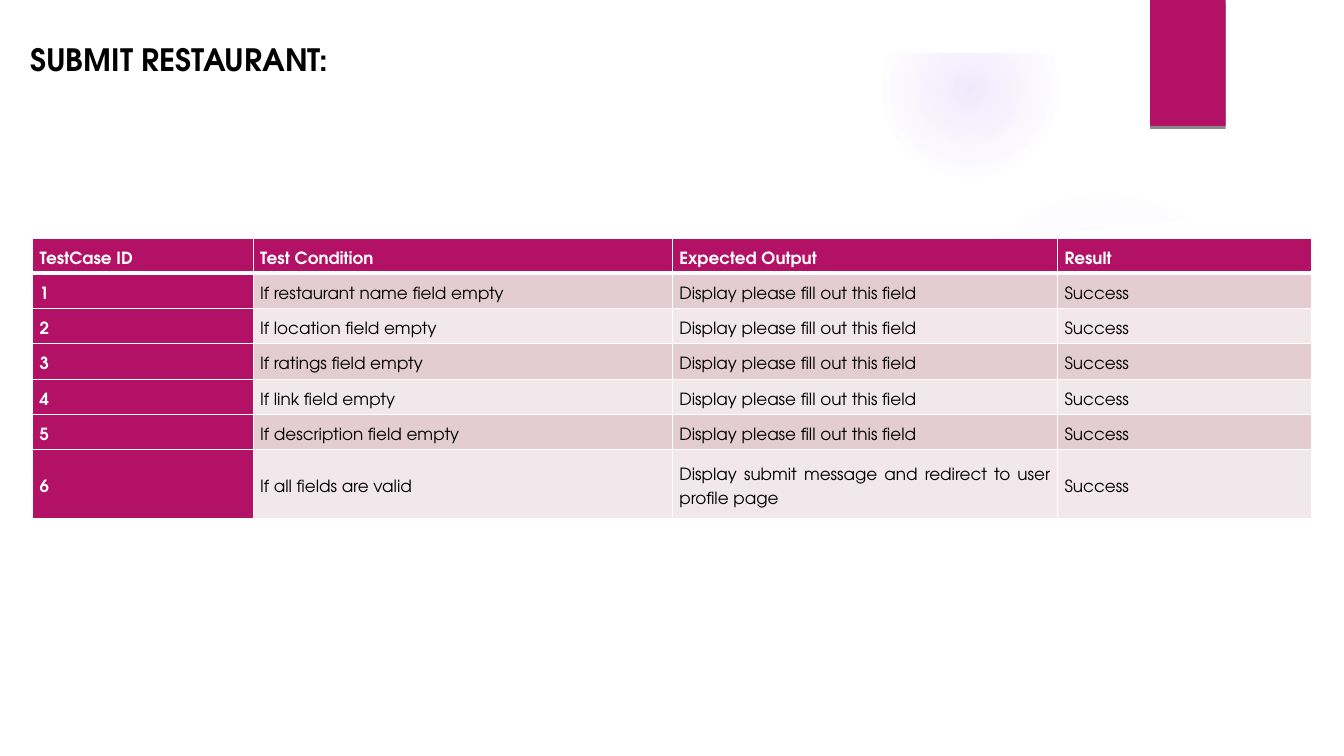
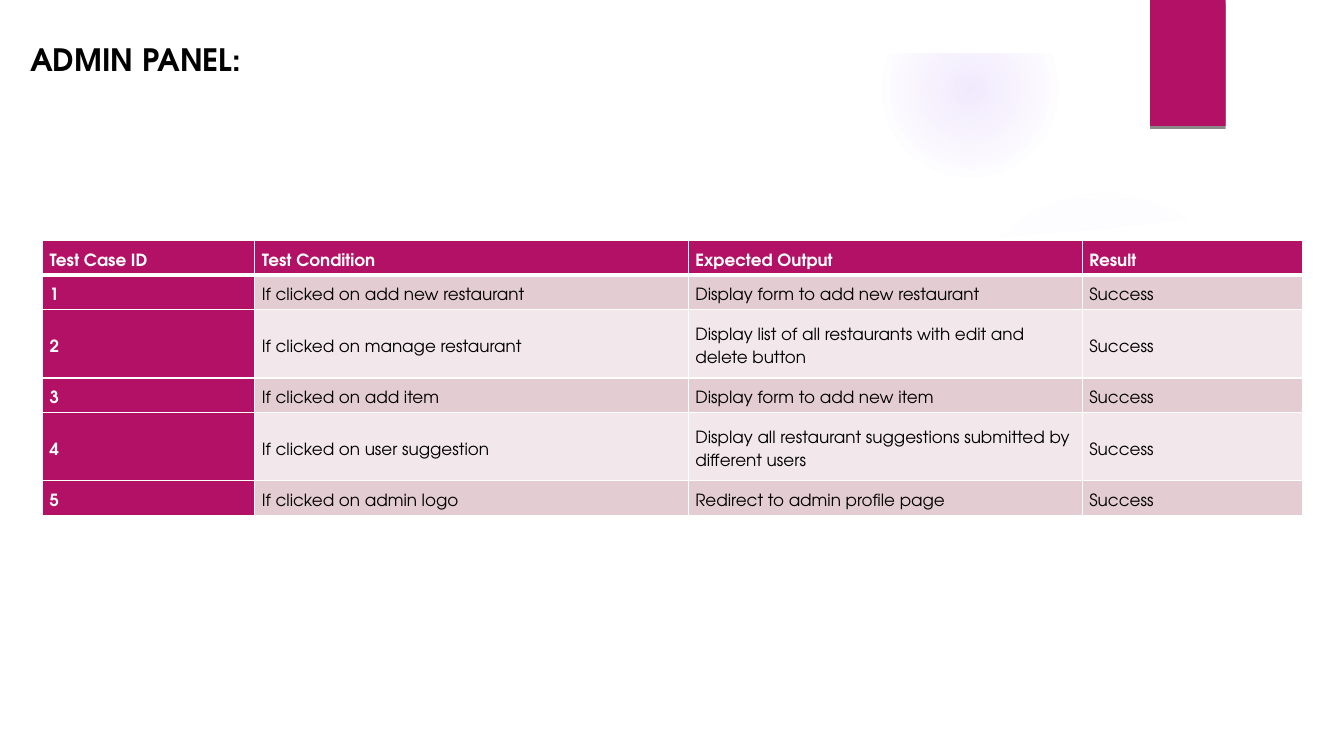
import pptx
import pptx.dml.color
import pptx.enum.shapes
import pptx.enum.text
import pptx.oxml
import pptx.oxml.ns
import pptx.util
from lxml import etree

Pt = pptx.util.Pt
SHAPE = pptx.enum.shapes.MSO_SHAPE
ALIGN = pptx.enum.text.PP_ALIGN
MIDDLE = pptx.enum.text.MSO_ANCHOR.MIDDLE
NAMESPACE = pptx.oxml.ns.nsdecls("a")

PANEL_OUTLINE = [
    (36, 147), (36, 504), (924, 504), (924, 147), (864, 156), (794, 163),
    (723, 169), (663, 172.5), (605, 176), (547, 178), (490, 178.5),
    (437, 178), (385, 176), (320, 173.5), (259, 170), (204, 165.6),
    (156, 161), (97, 155),
]
STREAK_OUTLINE = [
    (672, 180), (722, 178), (794, 172), (868, 163), (928, 154),
    (924, 119.5), (898, 128), (865, 137.5), (832, 146), (798, 154),
    (758, 162), (719, 168.5), (670, 175),
]


def color(hex_value):
    return pptx.dml.color.RGBColor.from_string(hex_value)


def element(xml):
    return pptx.oxml.parse_xml(xml)


class Deck:
    FONT = "TeX Gyre Adventor"
    ACCENT = "B31166"
    GLOW = "9B6BF2"
    WHITE = "FFFFFF"
    BLACK = "000000"
    STRIPES = ("E4CCD3", "F2E7EA")

    def __init__(self):
        self.presentation = pptx.Presentation()
        self.presentation.slide_width = Pt(960)
        self.presentation.slide_height = Pt(540)
        self.layout = self.presentation.slide_layouts[5]
        self.slide = None

    def add_slide(self, heading):
        first = self.slide is None
        self.slide = self.presentation.slides.add_slide(self.layout)
        if first:
            self.backdrop()
        title = self.slide.shapes.title
        title.left, title.top, title.width, title.height = Pt(14.4), Pt(14.4), Pt(690), Pt(55.4)
        title.text_frame.text = heading
        title.text_frame.vertical_anchor = MIDDLE
        self.format_text(title.text_frame, 22, self.BLACK, True, ALIGN.LEFT)

    def format_text(self, frame, size, text_color, bold, align):
        for paragraph in frame.paragraphs:
            paragraph.alignment = align
            for run in paragraph.runs:
                run.font.name = self.FONT
                run.font.size = Pt(size)
                run.font.bold = bold
                run.font.color.rgb = color(text_color)

    def backdrop(self):
        for placeholder in list(self.layout.placeholders):
            if placeholder.placeholder_format.type != pptx.enum.shapes.PP_PLACEHOLDER.TITLE:
                placeholder.element.getparent().remove(placeholder.element)
        frame = self.preset(SHAPE.FRAME, 0, 0, 960, 540, self.WHITE)
        frame.adjustments[0] = 0.07
        band = self.preset(SHAPE.RECTANGLE, 821.5, 0, 54, 90, self.ACCENT)
        self.drop_shadow(band)
        parts = [
            self.glow(677.5, 131.8, 221.8, 7, 69),
            self.glow(630, 0.7, 126, 14, 73),
            self.outline(STREAK_OUTLINE, 20),
            self.outline(PANEL_OUTLINE),
            frame,
            band,
        ]
        for part in parts:
            self.layout.shapes.element.append(part.element)

    def paint(self, shape, fill):
        shape.fill.solid()
        shape.fill.fore_color.rgb = color(fill)
        shape.line.fill.background()
        shape.shadow.inherit = False
        return shape

    def preset(self, kind, left, top, width, height, fill):
        shape = self.slide.shapes.add_shape(kind, Pt(left), Pt(top), Pt(width), Pt(height))
        return self.paint(shape, fill)

    def drop_shadow(self, shape):
        effects = shape.element.spPr.find(pptx.oxml.ns.qn("a:effectLst"))
        effects.append(element(
            f'<a:outerShdw {NAMESPACE} blurRad="0" dist="{Pt(2)}" dir="5400000" rotWithShape="0">'
            f'<a:srgbClr val="{self.BLACK}"><a:alpha val="45000"/></a:srgbClr></a:outerShdw>'))

    def glow(self, left, top, diameter, opacity, reach):
        shape = self.preset(SHAPE.OVAL, left, top, diameter, diameter, self.GLOW)
        stops = "".join(
            f'<a:gs pos="{position * 1000}"><a:srgbClr val="{self.GLOW}">'
            f'<a:alpha val="{alpha * 1000}"/></a:srgbClr></a:gs>'
            for position, alpha in ((0, opacity), (reach, 0), (100, 0)))
        gradient = element(
            f'<a:gradFill {NAMESPACE} rotWithShape="1"><a:gsLst>{stops}</a:gsLst>'
            '<a:path path="circle"><a:fillToRect l="50000" t="50000" r="50000" b="50000"/>'
            '</a:path></a:gradFill>')
        properties = shape.element.spPr
        properties.replace(properties.find(pptx.oxml.ns.qn("a:solidFill")), gradient)
        return shape

    def outline(self, points, opacity=100):
        builder = self.slide.shapes.build_freeform(*points[0], scale=Pt(1))
        builder.add_line_segments(points[1:], close=True)
        shape = self.paint(builder.convert_to_shape(), self.WHITE)
        if opacity < 100:
            fill = shape.element.spPr.find(pptx.oxml.ns.qn("a:solidFill"))
            alpha = etree.SubElement(fill[0], pptx.oxml.ns.qn("a:alpha"))
            alpha.set("val", str(opacity * 1000))
        return shape

    def borders(self, cell, top, bottom):
        properties = cell._tc.get_or_add_tcPr()
        sides = (("L", 0.96), ("R", 0.96), ("T", top), ("B", bottom))
        for index, (side, width) in enumerate(sides):
            properties.insert(index, element(
                f'<a:ln{side} {NAMESPACE} w="{Pt(width)}"><a:solidFill>'
                f'<a:srgbClr val="{self.WHITE}"/></a:solidFill></a:ln{side}>'))

    def table(self, left, top, widths, heights, records, align):
        table = self.slide.shapes.add_table(
            len(heights), len(widths), Pt(left), Pt(top), Pt(sum(widths)), Pt(sum(heights))).table
        for column, width in zip(table.columns, widths):
            column.width = Pt(width)
        for row, height in zip(table.rows, heights):
            row.height = Pt(height)
        for row_index, record in enumerate(records):
            for column_index, text in enumerate(record):
                strong = row_index == 0 or column_index == 0
                cell = table.cell(row_index, column_index)
                cell.text_frame.text = text
                cell.vertical_anchor = MIDDLE
                cell.margin_left = cell.margin_right = Pt(5)
                cell.margin_top = cell.margin_bottom = Pt(3.6)
                cell.fill.solid()
                fill = self.ACCENT if strong else self.STRIPES[(row_index - 1) % 2]
                cell.fill.fore_color.rgb = color(fill)
                cell.text_frame.paragraphs[0].line_spacing = 1.5
                text_color = self.WHITE if strong else self.BLACK
                self.format_text(cell.text_frame, 12, text_color, strong, align)
                self.borders(cell, 3 if row_index == 1 else 0.96, 3 if row_index == 0 else 0.96)


def test_records(id_heading, cases):
    header = (id_heading, "Test Condition", "Expected Output", "Result")
    return [header] + [
        (str(number), condition, output, "Success")
        for number, (condition, output) in enumerate(cases, 1)]


def main():
    deck = Deck()

    deck.add_slide("SUBMIT RESTAURANT:")
    fields = ("restaurant name", "location", "ratings", "link", "description")
    submit_cases = [
        (f"If {field} field empty", "Display please fill out this field") for field in fields]
    submit_cases.append(
        ("If all fields are valid", "Display submit message and redirect to user profile page"))
    deck.table(23.3, 170, (157.6, 299.4, 275.2, 181.5), [25.2] * 6 + [49],
               test_records("TestCase ID", submit_cases), ALIGN.JUSTIFY)

    deck.add_slide("ADMIN PANEL:")
    admin_cases = [
        ("If clicked on add new restaurant", "Display form to add new restaurant"),
        ("If clicked on manage restaurant",
         "Display list of all restaurants with edit and delete button"),
        ("If clicked on add item", "Display form to add new item"),
        ("If clicked on user suggestion",
         "Display all restaurant suggestions submitted by different users"),
        ("If clicked on admin logo", "Redirect to admin profile page"),
    ]
    deck.table(30.4, 172, (151.7, 309.6, 281.5, 157), (24.5, 24.5, 49, 24.5, 49, 24.5),
               test_records("Test Case ID", admin_cases), ALIGN.LEFT)

    deck.presentation.save("out.pptx")


if __name__ == "__main__":
    main()
